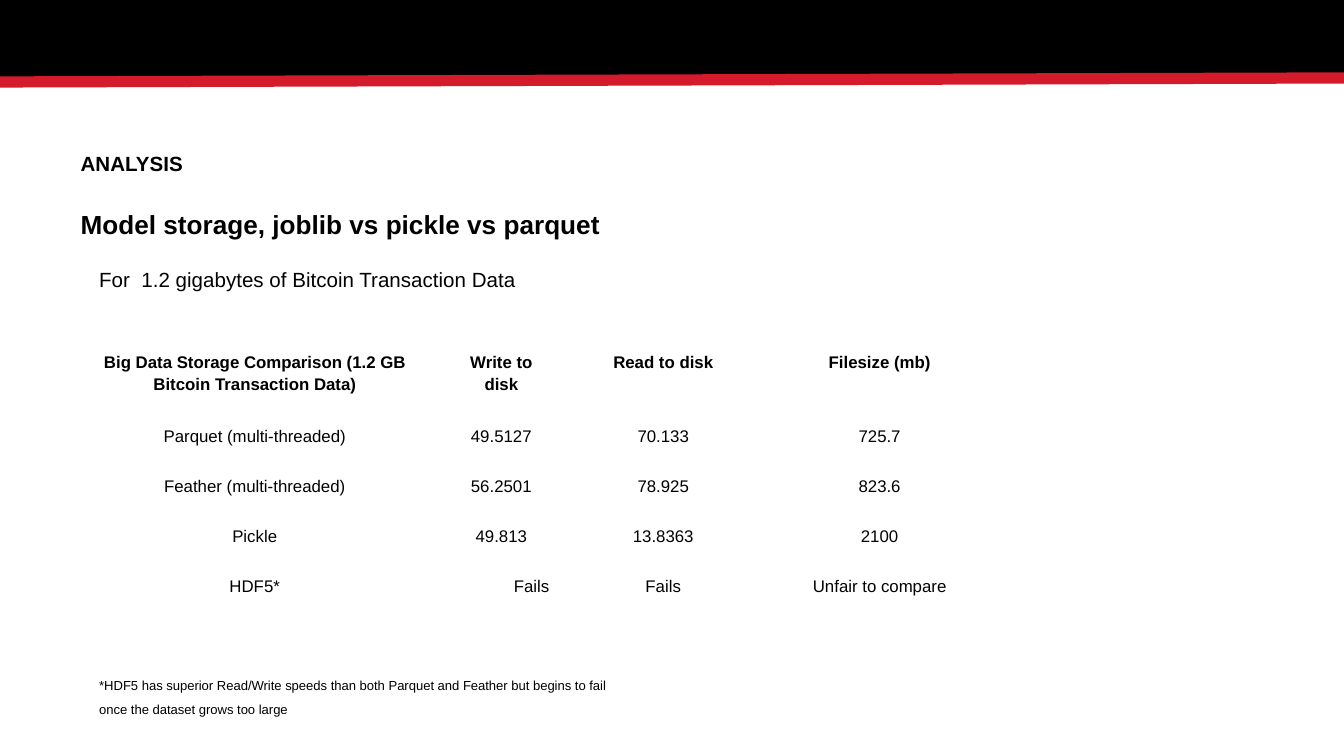
from lxml import etree
from pptx import Presentation
from pptx.dml.color import RGBColor
from pptx.enum import shapes, text
from pptx.oxml import ns
from pptx.util import Inches, Pt

BLACK = RGBColor(0x00, 0x00, 0x00)
RED = RGBColor(0xD3, 0x1B, 0x2C)
FONT = "Arial"
LINE_SPACING = 1.15
SLIDE_WIDTH = 10
NO_STYLE_NO_GRID = "{2D5ABB26-0587-4C30-8999-92F81FD0307C}"

HEADINGS = [
    ("ANALYSIS", {"size": Pt(11), "bold": True}, {}),
    ("Model storage, joblib vs pickle vs parquet", {"size": Pt(14), "bold": True},
     {"space_before": Pt(15)}),
]
BODY = [
    ("For  1.2 gigabytes of Bitcoin Transaction Data", {"size": Pt(11)}, {}),
    ("*HDF5 has superior Read/Write speeds than both Parquet and Feather but begins to fail",
     {"size": Pt(7)}, {"space_before": Pt(205.5)}),
    ("once the dataset grows too large", {"size": Pt(7)},
     {"space_before": Pt(3.3), "space_after": Pt(3.3)}),
]
COLUMN_WIDTHS = [2.75, 0.92, 1.49, 1.73]
HEADER_HEIGHT, ROW_HEIGHT = 0.52, 0.36
STORAGE_ROWS = [
    ["Big Data Storage Comparison (1.2 GB Bitcoin Transaction Data)",
     "Write to disk", "Read to disk", "Filesize (mb)"],
    ["Parquet (multi-threaded)", "49.5127", "70.133", "725.7"],
    ["Feather (multi-threaded)", "56.2501", "78.925", "823.6"],
    ["Pickle", "49.813", "13.8363", "2100"],
    ["HDF5*", "Fails", "Fails", "Unfair to compare"],
]


def set_values(target, values):
    for name, value in values.items():
        setattr(target, name, value)


def write_paragraph(paragraph, words, font_values, paragraph_values):
    set_values(paragraph, {"line_spacing": LINE_SPACING, **paragraph_values})
    run = paragraph.add_run()
    run.text = words
    set_values(run.font, {"name": FONT, **font_values})
    run.font.color.rgb = BLACK


def add_banner(slide):
    band = slide.shapes.add_shape(
        shapes.MSO_SHAPE.RECTANGLE, 0, 0, Inches(SLIDE_WIDTH), Inches(0.58))
    band.shadow.inherit = False
    band.fill.solid()
    band.fill.fore_color.rgb = BLACK
    band.line.fill.background()

    stripe = slide.shapes.add_connector(
        shapes.MSO_CONNECTOR.STRAIGHT,
        Inches(SLIDE_WIDTH), Inches(0.58), 0, Inches(0.61))
    stripe.line.color.rgb = RED
    stripe.line.width = Pt(6)
    etree.SubElement(stripe.element.spPr, ns.qn("a:effectLst"))


def add_text(slide, left, top, width, height, entries, margin_left=0.1):
    frame = slide.shapes.add_textbox(
        Inches(left), Inches(top), Inches(width), Inches(height)).text_frame
    set_values(frame, {
        "word_wrap": True, "margin_left": Inches(margin_left),
        "margin_right": Inches(0.1), "margin_top": Inches(0.1),
        "margin_bottom": Inches(0.1)})
    for index, (words, font_values, paragraph_values) in enumerate(entries):
        paragraph = frame.add_paragraph() if index else frame.paragraphs[0]
        write_paragraph(paragraph, words, font_values,
                        {"alignment": text.PP_ALIGN.JUSTIFY, **paragraph_values})


def add_storage_table(slide, left, top):
    heights = [HEADER_HEIGHT] + [ROW_HEIGHT] * (len(STORAGE_ROWS) - 1)
    frame = slide.shapes.add_table(
        len(heights), len(COLUMN_WIDTHS), Inches(left), Inches(top),
        Inches(sum(COLUMN_WIDTHS)), Inches(sum(heights)))
    table = frame.table
    table.horz_banding = False
    # Plain table style without borders
    for style in frame.element.iter(ns.qn("a:tableStyleId")):
        style.text = NO_STYLE_NO_GRID
    for column, width in zip(table.columns, COLUMN_WIDTHS):
        column.width = Inches(width)
    for row_index, (row, height) in enumerate(zip(table.rows, heights)):
        row.height = Inches(height)
        for cell, words in zip(row.cells, STORAGE_ROWS[row_index]):
            cell.fill.background()
            set_values(cell, {f"margin_{side}": Inches(0.1)
                              for side in ("left", "right", "top", "bottom")})
            write_paragraph(cell.text_frame.paragraphs[0], words,
                            {"size": Pt(9), "bold": row_index == 0},
                            {"alignment": text.PP_ALIGN.CENTER})
    # The HDF5 write result sits right of its column's centre
    set_values(table.cell(4, 1), {"margin_left": Inches(0.45), "margin_right": 0})


def main():
    presentation = Presentation()
    presentation.slide_width = Inches(SLIDE_WIDTH)
    presentation.slide_height = Inches(SLIDE_WIDTH * 9 / 16)
    slide = presentation.slides.add_slide(presentation.slide_layouts[6])

    # Top banner
    add_banner(slide)
    # Headings, introduction and footnote
    add_text(slide, 0, 1, 6.41, 3.47, HEADINGS, margin_left=0.6)
    add_text(slide, 0.64, 1.86, 6.5, 3.77, BODY)
    # Storage comparison
    add_storage_table(slide, 0.52, 2.51)

    presentation.save("out.pptx")


if __name__ == "__main__":
    main()
